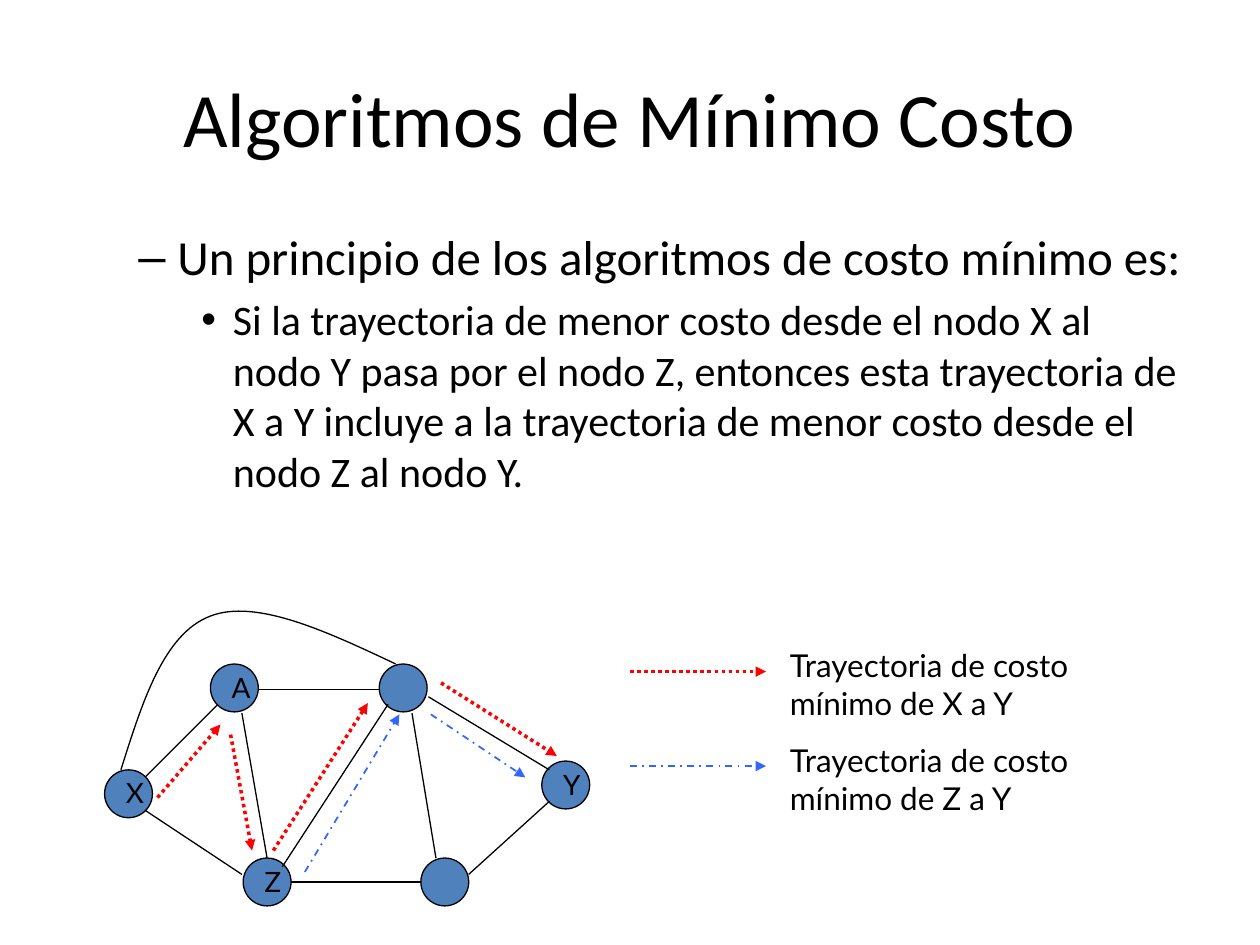
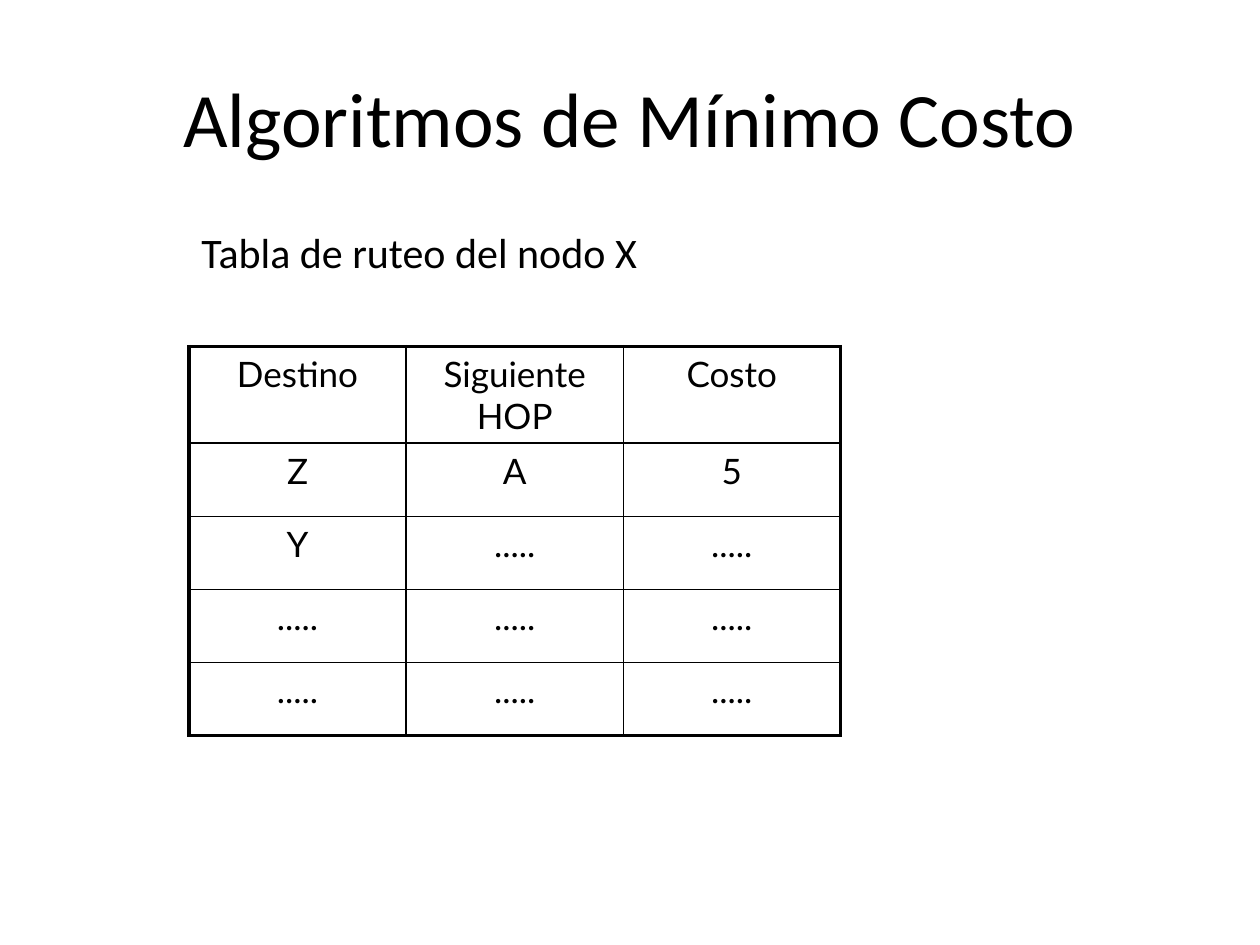
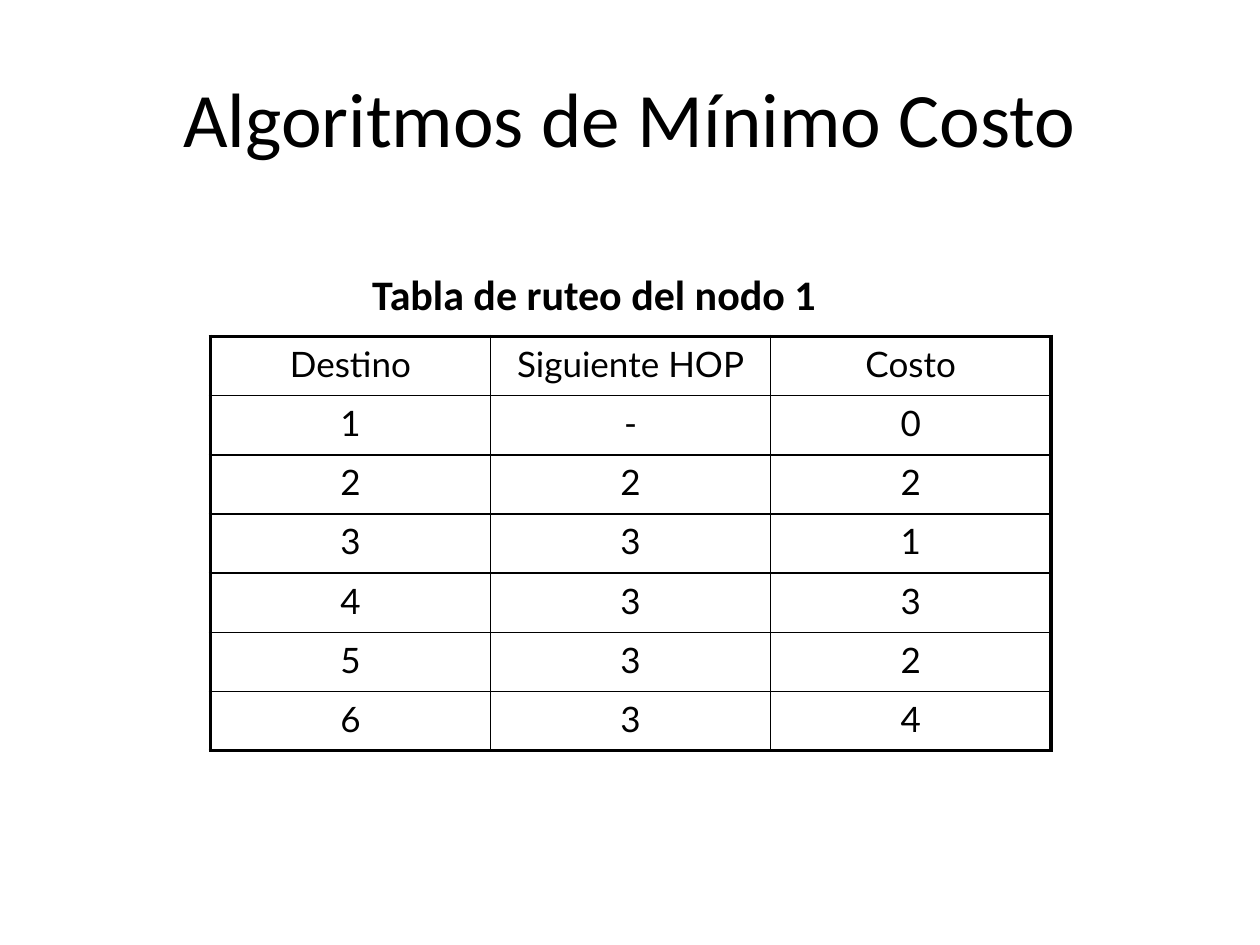
import pptx
import pptx.util
import pptx.dml.color
import pptx.enum.dml
import pptx.enum.shapes
import pptx.enum.text
import pptx.oxml.ns
import lxml.etree

Inches = pptx.util.Inches
Pt = pptx.util.Pt
Align = pptx.enum.text.PP_ALIGN
Anchor = pptx.enum.text.MSO_ANCHOR
Dash = pptx.enum.dml.MSO_LINE
qn = pptx.oxml.ns.qn

BLACK, NODE, RED, BLUE = "000000", "4F81BD", "FF0000", "3366FF"
HEAD, LABEL = "Calibri", "Lato"
TITLE = "Algoritmos de Mínimo Costo"
RADIUS = 0.19
BODY = (0.5, 1.75, 9, 4.95)
# Stroke styles: colour, width, dash
THIN = (BLACK, 0.75, None)
PATH_XY = (RED, 2, Dash.ROUND_DOT)
PATH_ZY = (BLUE, 1, Dash.DASH_DOT)


def color(code):
    return pptx.dml.color.RGBColor.from_string(code)


def child(parent, tag, **attrs):
    return lxml.etree.SubElement(parent, qn(tag), **attrs)


class Deck:
    def __init__(self):
        self.file = pptx.Presentation()
        self.file.slide_width = Inches(10)
        self.file.slide_height = Inches(7.5)
        self.slide = None

    def page(self):
        self.slide = self.file.slides.add_slide(self.file.slide_layouts[6])
        self.text((0.5, 0.3, 9, 1.25), TITLE, 44, HEAD, Align.CENTER,
                  anchor=Anchor.MIDDLE)

    def style(self, para, text, size, font, align=Align.LEFT, bold=False):
        para.text = text
        para.alignment = align
        para.font.size = Pt(size)
        para.font.name = font
        para.font.bold = bold
        para.font.color.rgb = color(BLACK)

    def text(self, box, text, size, font, align=Align.LEFT, bold=False,
             anchor=Anchor.TOP, indent=None):
        frame = self.slide.shapes.add_textbox(*map(Inches, box)).text_frame
        frame.word_wrap = True
        frame.vertical_anchor = anchor
        para = frame.paragraphs[0]
        if indent:
            self.indent(para, *indent)
        self.style(para, text, size, font, align, bold)
        return frame

    def indent(self, para, left, first, mark=None):
        props = para._p.get_or_add_pPr()
        props.set("marL", str(Inches(left)))
        props.set("indent", str(Inches(first)))
        if mark:
            child(props, "a:buFont", typeface="Arial")
            child(props, "a:buChar", char=mark)

    def stroke(self, line, look):
        tint, width, dash = look
        line.color.rgb = color(tint)
        line.width = Pt(width)
        if dash:
            line.dash_style = dash

    def line(self, start, end, look=THIN, arrow=False):
        wire = self.slide.shapes.add_connector(
            pptx.enum.shapes.MSO_CONNECTOR.STRAIGHT,
            *map(Inches, start + end))
        self.stroke(wire.line, look)
        if arrow:
            child(wire.line._get_or_add_ln(), "a:tailEnd", type="triangle")
        child(wire._element.spPr, "a:effectLst")

    def node(self, x, y, name):
        oval = self.slide.shapes.add_shape(
            pptx.enum.shapes.MSO_SHAPE.OVAL, Inches(x - RADIUS),
            Inches(y - RADIUS), Inches(2 * RADIUS), Inches(2 * RADIUS))
        oval.shadow.inherit = False
        oval.fill.solid()
        oval.fill.fore_color.rgb = color(NODE)
        self.stroke(oval.line, THIN)
        if name:
            self.text((x - 0.12, y - RADIUS, 0.32, 0.37), name, 16, LABEL)

    def curve(self, start, *points):
        """Draw cubic curves; every three points make one segment."""
        pen = self.slide.shapes.build_freeform(
            *map(Inches, start), scale=1.0)
        pen.add_line_segments(
            [tuple(map(Inches, point)) for point in points], close=False)
        shape = pen.convert_to_shape()
        shape.shadow.inherit = False
        shape.fill.background()
        self.stroke(shape.line, THIN)
        steps = list(shape._element.iter(qn("a:lnTo")))
        for i in range(0, len(steps), 3):
            bend = lxml.etree.Element(qn("a:cubicBezTo"))
            steps[i].addprevious(bend)
            for step in steps[i:i + 3]:
                bend.append(step[0])
                step.getparent().remove(step)

    def table(self, left, top, width, height, rows):
        """Draw a grid with a thick frame and thin inner lines."""
        tall, wide = len(rows), len(rows[0])
        grid = self.slide.shapes.add_table(
            tall, wide, Inches(left), Inches(top), Inches(width),
            Inches(height * tall)).table
        grid.first_row = grid.horz_banding = False
        for r, row in enumerate(rows):
            for c, word in enumerate(row):
                cell = grid.cell(r, c)
                self.style(cell.text_frame.paragraphs[0], word, 20, LABEL,
                           Align.CENTER)
                edges = {"L": c == 0, "R": c == wide - 1,
                         "T": r == 0, "B": r == tall - 1}
                props = cell._tc.get_or_add_tcPr()
                for side, outer in edges.items():
                    edge = child(props, "a:ln" + side,
                                 w=str(Pt(2.25 if outer else 1)))
                    fill = child(edge, "a:solidFill")
                    child(fill, "a:srgbClr", val=BLACK)
                cell.fill.background()


def graph(deck):
    deck.page()
    frame = deck.text(
        BODY, "Un principio de los algoritmos de costo mínimo es:", 28, HEAD,
        indent=(0.81, -0.31, "–"))
    para = frame.add_paragraph()
    deck.indent(para, 1.25, -0.25, "•")
    deck.style(
        para, "Si la trayectoria de menor costo desde el nodo X al nodo Y "
        "pasa por el nodo Z, entonces esta trayectoria de X a Y incluye a la "
        "trayectoria de menor costo desde el nodo Z al nodo Y.", 24, HEAD)
    para.space_before = Pt(4.8)

    # Nodes by centre
    for x, y, name in [(1.02, 6.3, "X"), (1.86, 5.46, "A"), (2.12, 7, "Z"),
                       (3.2, 5.46, ""), (3.53, 7, ""), (4.49, 6.23, "Y")]:
        deck.node(x, y, name)

    # Links
    for start, end in [
            ((1.15, 6.17), (1.73, 5.59)), ((1.15, 6.43), (1.92, 6.94)),
            ((1.92, 5.66), (2.12, 6.81)), ((2.24, 6.88), (3.08, 5.59)),
            ((2.05, 5.47), (3.01, 5.47)), ((2.31, 7), (3.34, 7)),
            ((3.27, 5.66), (3.46, 6.81)), ((3.4, 5.53), (4.36, 6.11)),
            ((3.72, 6.94), (4.36, 6.36))]:
        deck.line(start, end)
    deck.curve((0.96, 6.11), (1.13, 5.57), (1.3, 5.03), (1.67, 4.89),
               (2.03, 4.75), (2.59, 5.01), (3.14, 5.27))

    # Least-cost paths
    for look, steps in [
            (PATH_ZY, [((2.42, 6.92), (3.17, 5.67)),
                       ((3.42, 5.67), (4.17, 6.17))]),
            (PATH_XY, [((1.25, 6.33), (1.75, 5.75)),
                       ((1.83, 5.83), (2, 6.75)),
                       ((2.17, 6.75), (2.92, 5.58)),
                       ((3.5, 5.42), (4.42, 6))])]:
        for start, end in steps:
            deck.line(start, end, look, arrow=True)

    # Legend
    for y, look, source in [(5.33, PATH_XY, "X"), (6.08, PATH_ZY, "Z")]:
        deck.line((5, y), (6.08, y), look, arrow=True)
        deck.text((6.17, y - 0.25, 3.08, 0.7),
                  f"Trayectoria de costo mínimo de {source} a Y", 18, LABEL)


def routes(deck):
    header = ("Destino", "Siguiente HOP", "Costo")
    dots = "....."

    # Node X
    deck.page()
    deck.text(BODY, "Tabla de ruteo del nodo X", 24, HEAD,
              indent=(1.25, -0.25))
    deck.table(1.5, 2.75, 5.17, 0.58, [
        header, ("Z", "A", "5"), ("Y", dots, dots), (dots,) * 3, (dots,) * 3])

    # Node 1
    deck.page()
    deck.text((0.25, 2.08, 8.5, 4.5), "Tabla de ruteo del nodo 1", 24, HEAD,
              Align.CENTER, bold=True, indent=(0.42, 0.01))
    deck.table(1.67, 2.67, 6.67, 0.47, [
        header, "1-0", "222", "331", "433", "532", "634"])


def main():
    deck = Deck()
    graph(deck)
    routes(deck)
    deck.file.save("out.pptx")


if __name__ == "__main__":
    main()
